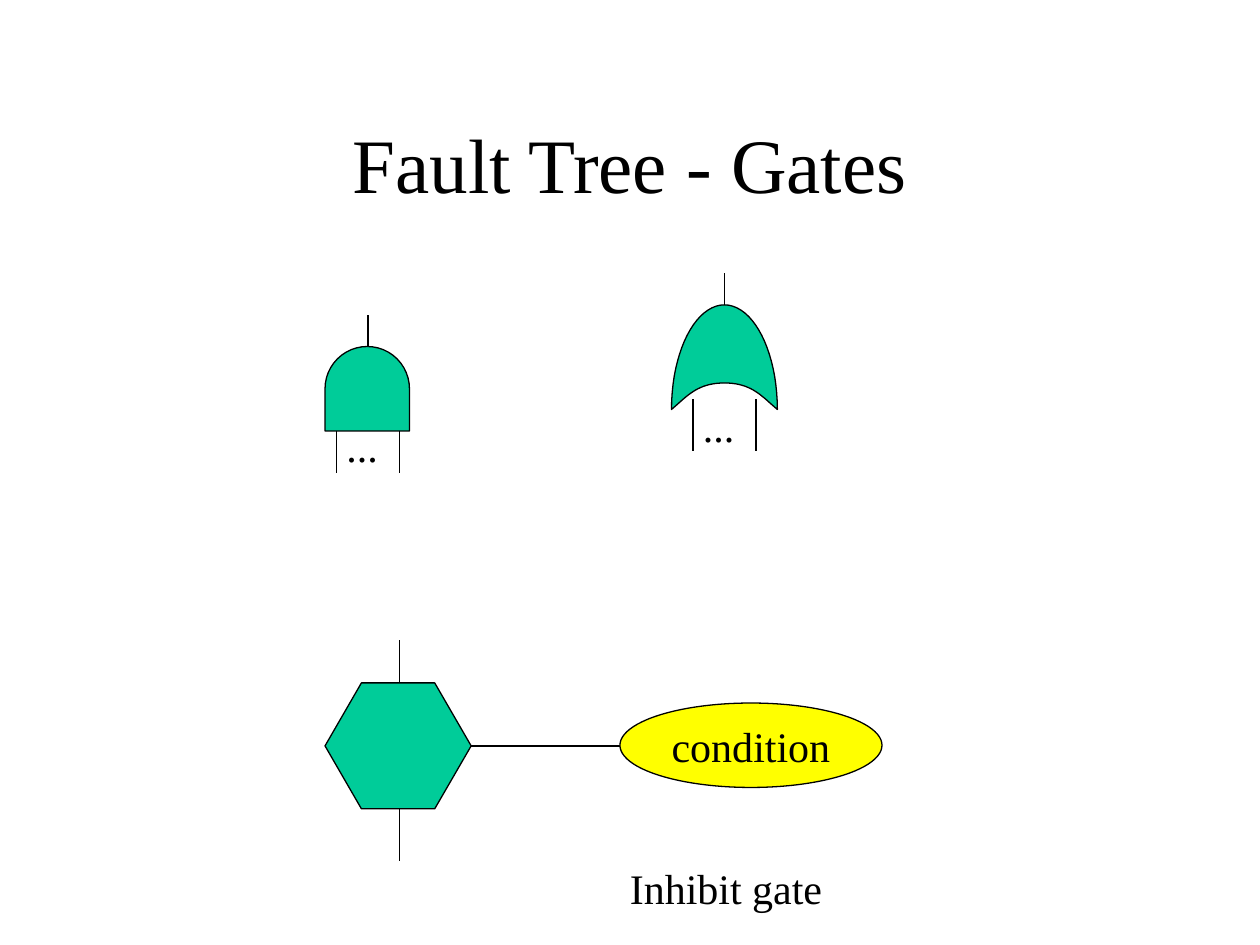
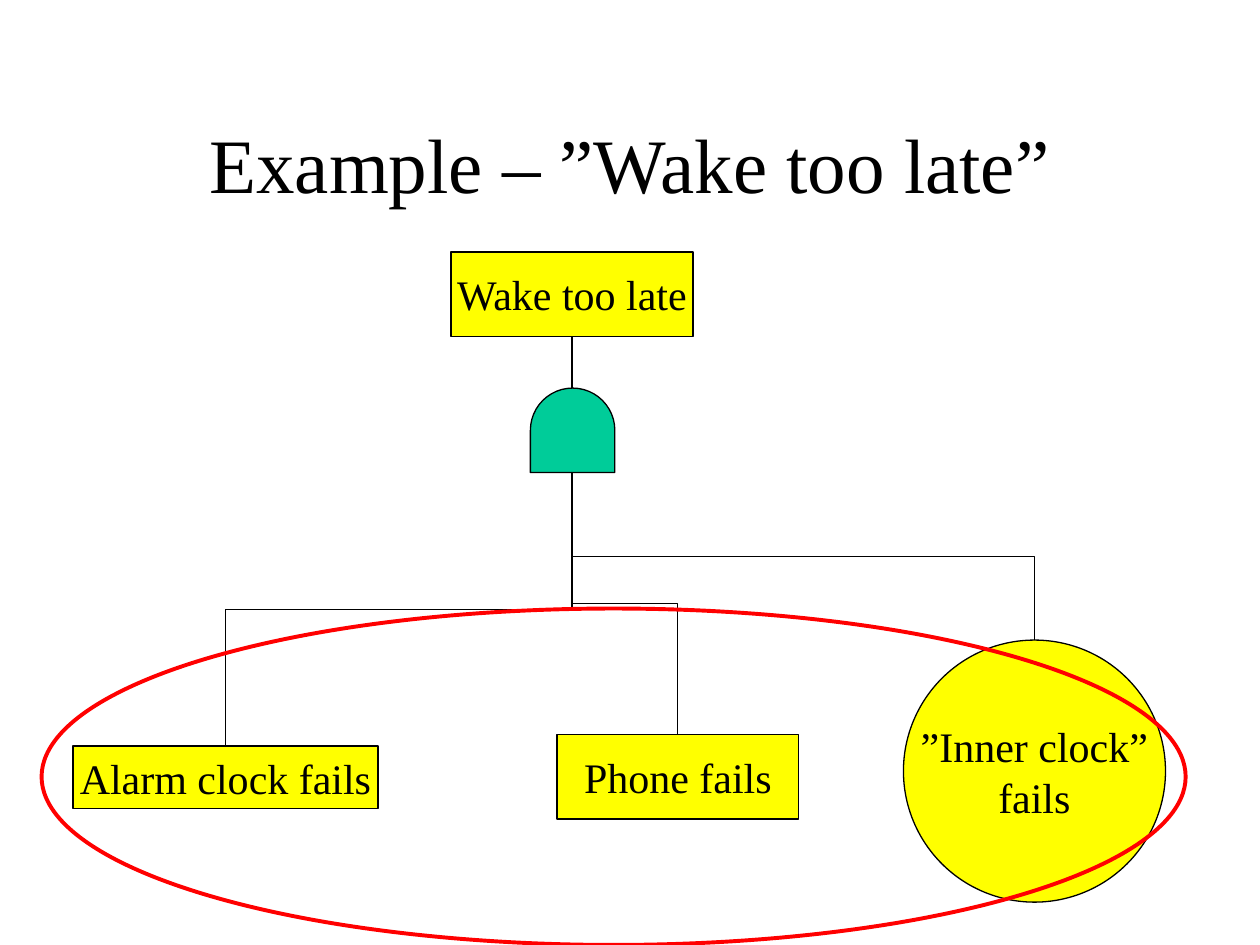
from dataclasses import dataclass

from lxml.etree import SubElement
from pptx import Presentation
from pptx.dml.color import RGBColor as RGB
from pptx.enum.shapes import MSO_CONNECTOR as Conn, MSO_SHAPE as Kind
from pptx.enum.text import MSO_ANCHOR as Anchor, MSO_AUTO_SIZE as Fit, PP_ALIGN as Align
from pptx.oxml.ns import qn
from pptx.util import Inches, Pt


@dataclass
class Theme:
    font: str = "Times New Roman"
    ink: RGB = RGB(0, 0, 0)
    gate: RGB = RGB(0x00, 0xCC, 0x99)
    event: RGB = RGB(0xFF, 0xFF, 0x00)
    mark: RGB = RGB(0xFF, 0x00, 0x00)
    head: Pt = Pt(44)
    body: Pt = Pt(24)
    thin: Pt = Pt(0.75)
    bold: Pt = Pt(2.25)


theme = Theme()


def write(frame, text, size=theme.body, align=Align.CENTER, wrap=False):
    frame.text = text
    frame.word_wrap = wrap
    for para in frame.paragraphs:
        para.alignment = align
        para.font.name, para.font.size = theme.font, size
        para.font.color.rgb = theme.ink


def paint(item, fill=None, color=theme.ink, width=theme.thin):
    """Style a shape or a connector and return it."""
    item.line.color.rgb, item.line.width = color, width
    if hasattr(item, "begin_x"):
        SubElement(item._element.spPr, qn("a:effectLst"))
        return item
    item.shadow.inherit = False
    if fill is None:
        item.fill.background()
    else:
        item.fill.solid()
        item.fill.fore_color.rgb = fill
    return item


deck = Presentation()
deck.slide_width, deck.slide_height = Inches(10), Inches(7.5)

# Slides and titles
pages = []
for text in ("Fault Tree - Gates", "Example – ”Wake too late”"):
    page = deck.slides.add_slide(deck.slide_layouts[5])
    title = page.shapes.title
    title.left, title.top = Inches(0.75), Inches(0.67)
    title.width, title.height = Inches(8.5), Inches(1.25)
    write(title.text_frame, text, theme.head, wrap=True)
    title.text_frame.vertical_anchor = Anchor.MIDDLE
    pages.append(page.shapes)
gates, tree = pages

# AND gates, one on each slide
for page, left, top in ((gates, 2.58, 2.75), (tree, 4.21, 3.08)):
    gate = page.add_shape(Kind.FLOWCHART_DELAY, *map(Inches, (left, top, 0.67, 0.67)))
    gate.rotation = 270
    paint(gate, theme.gate)

# OR gate: four curves, each with two controls and an end
start = (6.17, 3.25)
curves = [((6.05, 3.15), (5.97, 3.04), (5.75, 3.04)),
          ((5.53, 3.04), (5.45, 3.15), (5.33, 3.25)),
          ((5.33, 2.79), (5.52, 2.42), (5.75, 2.42)),
          ((5.98, 2.42), (6.17, 2.79), start)]
steps = 20
dots, last = [], start
for one, two, end in curves:
    for step in range(1, steps + 1):
        t = step / steps
        u = 1 - t
        dots.append([Inches(u**3 * a + 3 * u * u * t * b + 3 * u * t * t * c + t**3 * d)
                     for a, b, c, d in zip(last, one, two, end)])
    last = end
pen = gates.build_freeform(*map(Inches, start))
pen.add_line_segments(dots, close=True)
paint(pen.convert_to_shape(), theme.gate)

# Inhibit gate
hexa = gates.add_shape(Kind.HEXAGON, *map(Inches, (2.58, 5.42, 1.16, 1)))
hexa.adjustments[0] = 0.289
paint(hexa, theme.gate)

# Gate inputs and outputs
wires = [(2.92, 2.5, 2.75), (2.67, 3.42, 3.75), (3.17, 3.42, 3.75),
         (5.75, 2.17, 2.42), (5.5, 3.17, 3.58), (6, 3.17, 3.58),
         (3.17, 5.08, 5.42), (3.17, 6.42, 6.83)]
for x, top, end in wires:
    paint(gates.add_connector(Conn.STRAIGHT, *map(Inches, (x, top, x, end))))
paint(gates.add_connector(Conn.STRAIGHT, *map(Inches, (3.74, 5.92, 4.92, 5.92))))

# Gate labels, in boxes that grow with their text
for text, left, top, width in (("...", 2.65, 3.29, 0.45), ("...", 5.48, 3.13, 0.45),
                               ("Inhibit gate", 4.9, 6.8, 1.75)):
    label = gates.add_textbox(*map(Inches, (left, top, width, 0.5)))
    write(label.text_frame, text, align=Align.LEFT)
    label.text_frame.auto_size = Fit.SHAPE_TO_FIT_TEXT

# Events
events = [(gates, Kind.OVAL, "condition", 4.92, 5.58, 2.08, 0.67),
          (tree, Kind.RECTANGLE, "Wake too late", 3.58, 2, 1.92, 0.67),
          (tree, Kind.RECTANGLE, "Alarm clock fails", 0.58, 5.92, 2.42, 0.5),
          (tree, Kind.RECTANGLE, "Phone fails", 4.42, 5.83, 1.92, 0.67),
          (tree, Kind.OVAL, "”Inner clock”\nfails", 7.17, 5.08, 2.08, 2.08)]
nodes = []
for page, kind, text, *box in events:
    node = paint(page.add_shape(kind, *map(Inches, box)), theme.event)
    write(node.text_frame, text)
    node.text_frame.vertical_anchor = Anchor.MIDDLE
    nodes.append(node)
goal, *causes = nodes[1:]

# Stem from the top event to its gate
stem = tree.add_connector(Conn.STRAIGHT, *map(Inches, (4.54, 2.67, 4.54, 3.08)))
stem.begin_connect(goal, 2)
paint(stem)

# Branches: elbows turned a quarter so that they leave the gate downwards
root, base = Inches(4.54), Inches(3.75)
for cause in causes:
    goto = cause.left + cause.width // 2
    drop, span = cause.top - base, abs(goto - root)
    left = (root + goto - drop) // 2
    top = (base + cause.top - span) // 2
    right = goto > root
    ends = (left + drop, left) if right else (left, left + drop)
    bend = paint(tree.add_connector(Conn.ELBOW, ends[0], top, ends[1], top + span))
    bend._element.spPr.xfrm.set("rot", str((270 if right else 90) * 60000))

# Ring around the causes
paint(tree.add_shape(Kind.OVAL, *map(Inches, (0.33, 4.83, 9.08, 2.67))),
      color=theme.mark, width=theme.bold)

deck.save("out.pptx")
